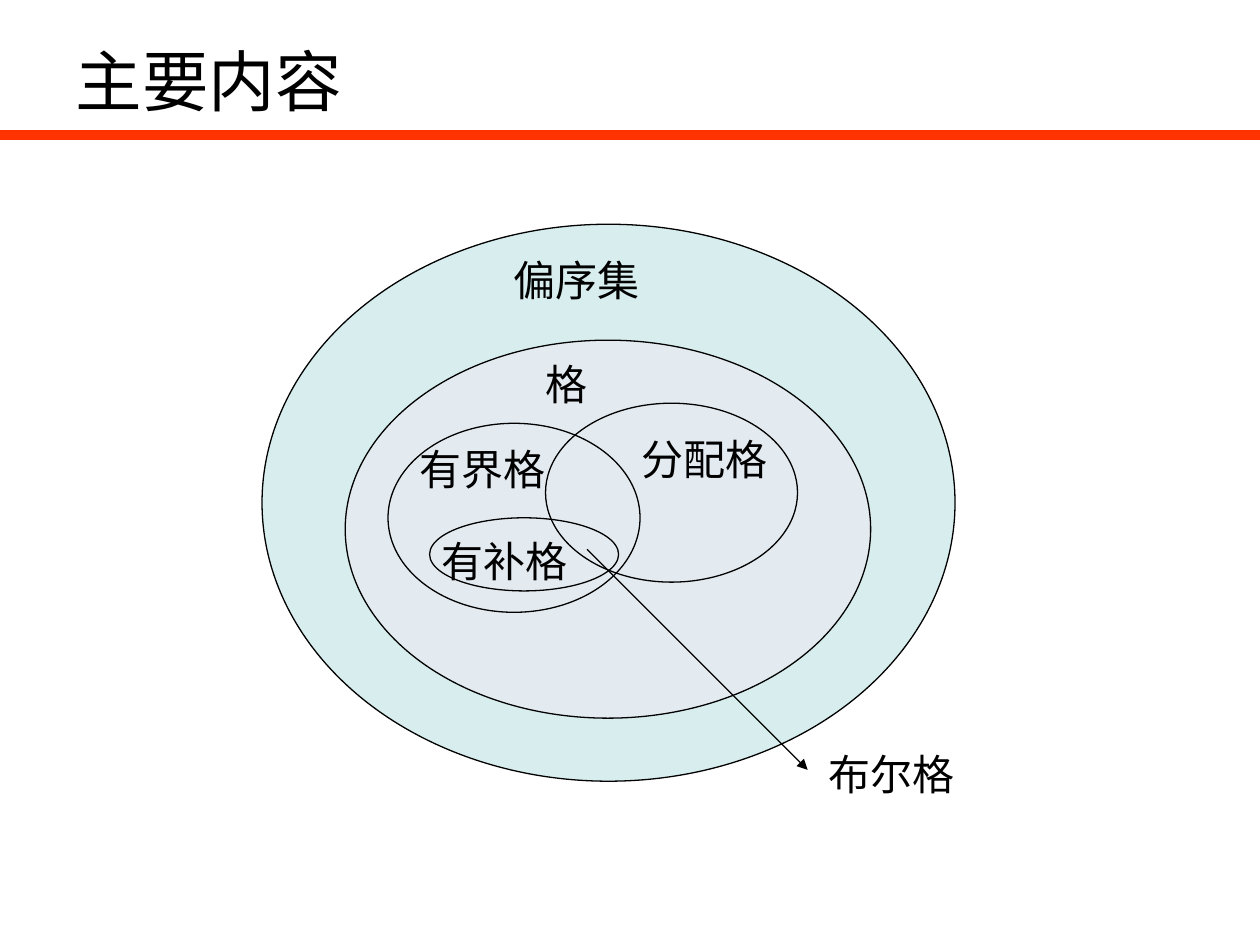
"""Build a slide of nested ellipses relating partially ordered sets and lattices."""
from lxml.etree import SubElement
from pptx import Presentation
from pptx.dml.color import RGBColor
from pptx.enum.shapes import MSO_CONNECTOR, MSO_SHAPE
from pptx.enum.text import MSO_ANCHOR, MSO_AUTO_SIZE, PP_ALIGN
from pptx.oxml.ns import qn
from pptx.util import Inches, Pt

BLACK = RGBColor(0x00, 0x00, 0x00)
ORANGE = RGBColor(0xFF, 0x33, 0x00)
TEAL = RGBColor(0xBB, 0xE0, 0xE3)
PALE = RGBColor(0xE3, 0xEB, 0xF1)
FONT = "Arial"

TITLE = "主要内容"
SETS = [
    ((2.08, 1.78, 5.5, 4.42), TEAL, 58),
    ((2.74, 2.7, 4.17, 3), PALE, 100),
    ((3.08, 3.36, 2, 1.5), PALE, 100),
    ((4.33, 3.2, 2, 1.42), None, 100),
    ((3.41, 4.11, 1.5, 0.58), None, 100),
]
LABELS = [
    ("偏序集", 3.98, 1.97),
    ("格", 4.23, 2.8),
    ("分配格", 4.99, 3.39),
    ("有界格", 3.23, 3.47),
    ("有补格", 3.41, 4.2),
    ("布尔格", 6.48, 5.89),
]
BOOLEAN_ARROW = (4.66, 4.36, 6.41, 6.11)


def write(frame, text, size):
    paragraph = frame.paragraphs[0]
    paragraph.alignment = PP_ALIGN.LEFT
    run = paragraph.add_run()
    run.text = text
    run.font.name = FONT
    run.font.size = Pt(size)
    run.font.color.rgb = BLACK


def add_set(shapes, box, color, opacity):
    ellipse = shapes.add_shape(MSO_SHAPE.OVAL, *map(Inches, box))
    ellipse.shadow.inherit = False
    ellipse.line.color.rgb = BLACK
    ellipse.line.width = Pt(0.75)
    if color is None:
        ellipse.fill.background()
        return
    ellipse.fill.solid()
    ellipse.fill.fore_color.rgb = color
    if opacity < 100:
        tint = ellipse.fill._xPr.find(qn("a:solidFill"))[0]
        SubElement(tint, qn("a:alpha"), val=str(opacity * 1000))


def add_label(shapes, text, left, top):
    width = 0.2 + len(text) / 3
    label = shapes.add_textbox(*map(Inches, (left, top, width, 0.5)))
    label.text_frame.word_wrap = False
    label.text_frame.auto_size = MSO_AUTO_SIZE.SHAPE_TO_FIT_TEXT
    write(label.text_frame, text, 24)


def add_line(shapes, ends, color, width):
    line = shapes.add_connector(MSO_CONNECTOR.STRAIGHT, *map(Inches, ends))
    line.line.color.rgb = color
    line.line.width = Pt(width)
    SubElement(line._element.spPr, qn("a:effectLst"))
    return line


def main():
    deck = Presentation()
    deck.slide_width, deck.slide_height = Inches(10), Inches(7.5)
    slide = deck.slides.add_slide(deck.slide_layouts[5])

    add_line(slide.shapes, (0, 1.07, 10, 1.07), ORANGE, 6)

    title = slide.shapes.title
    title.left, title.top, title.width, title.height = map(Inches, (0.5, 0.21, 8.2, 0.85))
    title.text_frame.vertical_anchor = MSO_ANCHOR.MIDDLE
    title.text_frame.auto_size = MSO_AUTO_SIZE.NONE
    write(title.text_frame, TITLE, 38)

    diagram = slide.shapes.add_group_shape().shapes
    for box, color, opacity in SETS:
        add_set(diagram, box, color, opacity)
    for text, left, top in LABELS:
        add_label(diagram, text, left, top)
    arrow = add_line(diagram, BOOLEAN_ARROW, BLACK, 0.75)
    SubElement(arrow.line._get_or_add_ln(), qn("a:tailEnd"), type="triangle")

    deck.save("out.pptx")


if __name__ == "__main__":
    main()
